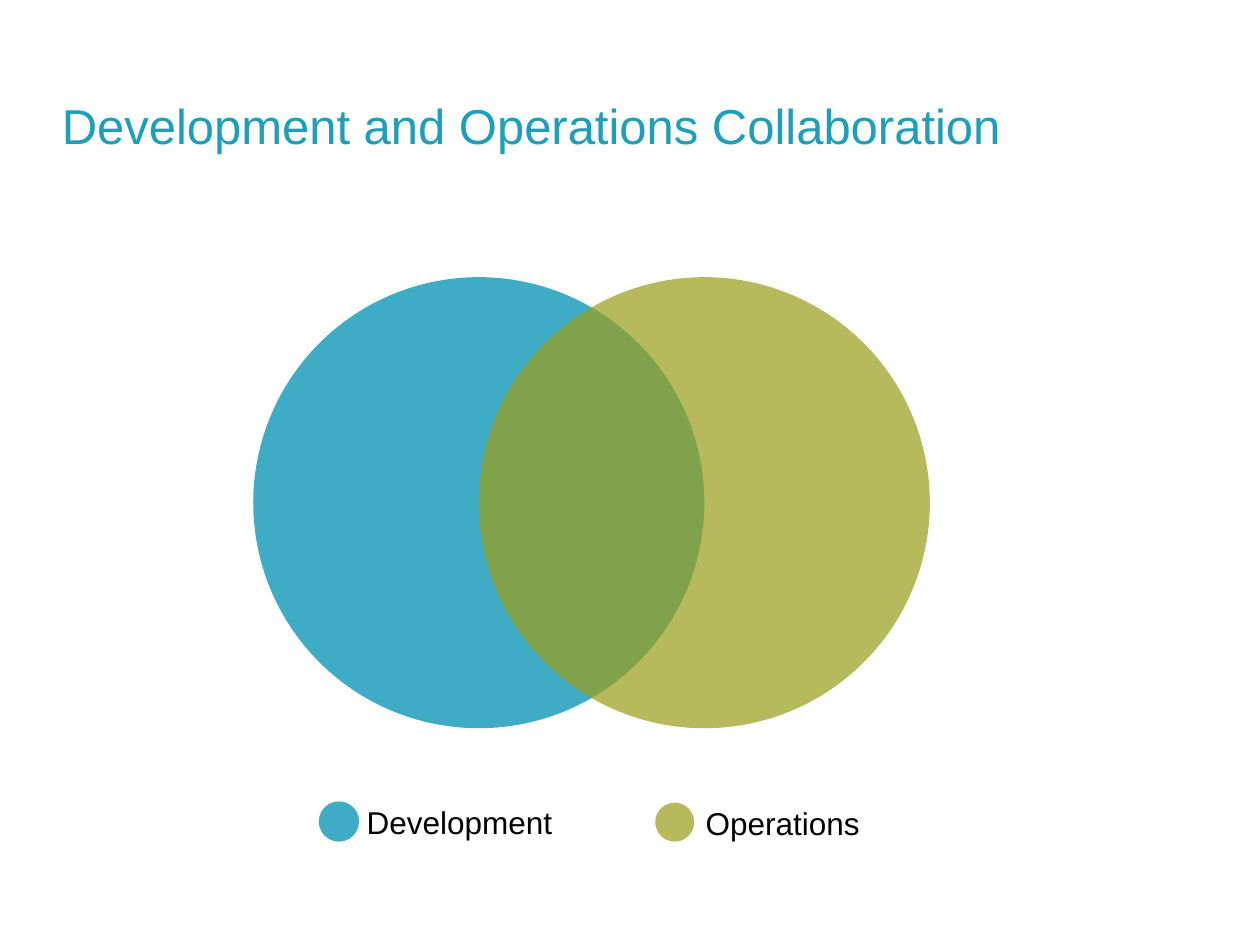
from pptx import Presentation
from pptx.dml.color import RGBColor
from pptx.enum.shapes import MSO_SHAPE
from pptx.enum.text import MSO_ANCHOR, PP_ALIGN
from pptx.oxml.ns import qn
from pptx.util import Inches, Pt
from lxml import etree

OVAL = MSO_SHAPE.OVAL
TOP = MSO_ANCHOR.TOP
LEFT = PP_ALIGN.LEFT

# Content
TITLE = "Development and Operations Collaboration"
COLORS = {"development": "1D9EBA", "operations": "9A9F1A", "text": "000000"}
# label, color, opacity in percent, legend dot left, top and size, label left and width
TEAMS = [
    ("Development", "development", 85, 2.53, 6.36, 0.32, 2.91, 1.5),
    ("Operations", "operations", 71, 5.2, 6.37, 0.31, 5.6, 1.25),
]

# Venn geometry: each circle starts at the center of the one before
VENN_LEFT, VENN_TOP, DIAMETER = 2.01, 2.2, 3.58
LABEL_HEIGHT = 0.33


def add_circle(slide, left, top, diameter, color, opacity):
    circle = slide.shapes.add_shape(
        OVAL, Inches(left), Inches(top), Inches(diameter), Inches(diameter))
    circle.shadow.inherit = False
    circle.line.fill.background()
    circle.fill.solid()
    circle.fill.fore_color.rgb = RGBColor.from_string(COLORS[color])
    color_element = circle.fill._xPr.find(qn("a:solidFill"))[0]
    etree.SubElement(color_element, qn("a:alpha"), val=str(opacity * 1000))


def write_text(shape, text, size, color):
    frame = shape.text_frame
    frame.word_wrap = True
    frame.vertical_anchor = TOP
    frame.margin_left = frame.margin_right = frame.margin_bottom = 0
    frame.margin_top = Inches(0.01)
    frame.text = text
    paragraph = frame.paragraphs[0]
    paragraph.alignment = LEFT
    paragraph.space_before = Pt(0)
    paragraph.font.name = "Arial"
    paragraph.font.size = Pt(size)
    paragraph.font.color.rgb = RGBColor.from_string(COLORS[color])


presentation = Presentation()
presentation.slide_width, presentation.slide_height = Inches(10), Inches(7.5)
slide = presentation.slides.add_slide(presentation.slide_layouts[5])

# Title
title = slide.shapes.title
title.left, title.top = Inches(0.49), Inches(0.75)
title.width, title.height = Inches(7.5), Inches(0.49)
write_text(title, TITLE, 28, "development")

# Overlapping circles
for index, (_, color, opacity, *_) in enumerate(TEAMS):
    add_circle(slide, VENN_LEFT + index * DIAMETER / 2, VENN_TOP, DIAMETER,
               color, opacity)

# Legend
for name, color, opacity, dot_left, top, dot_size, label_left, width in TEAMS:
    add_circle(slide, dot_left, top, dot_size, color, opacity)
    label = slide.shapes.add_textbox(
        Inches(label_left), Inches(top), Inches(width), Inches(LABEL_HEIGHT))
    write_text(label, name, 18, "text")

presentation.save("out.pptx")
